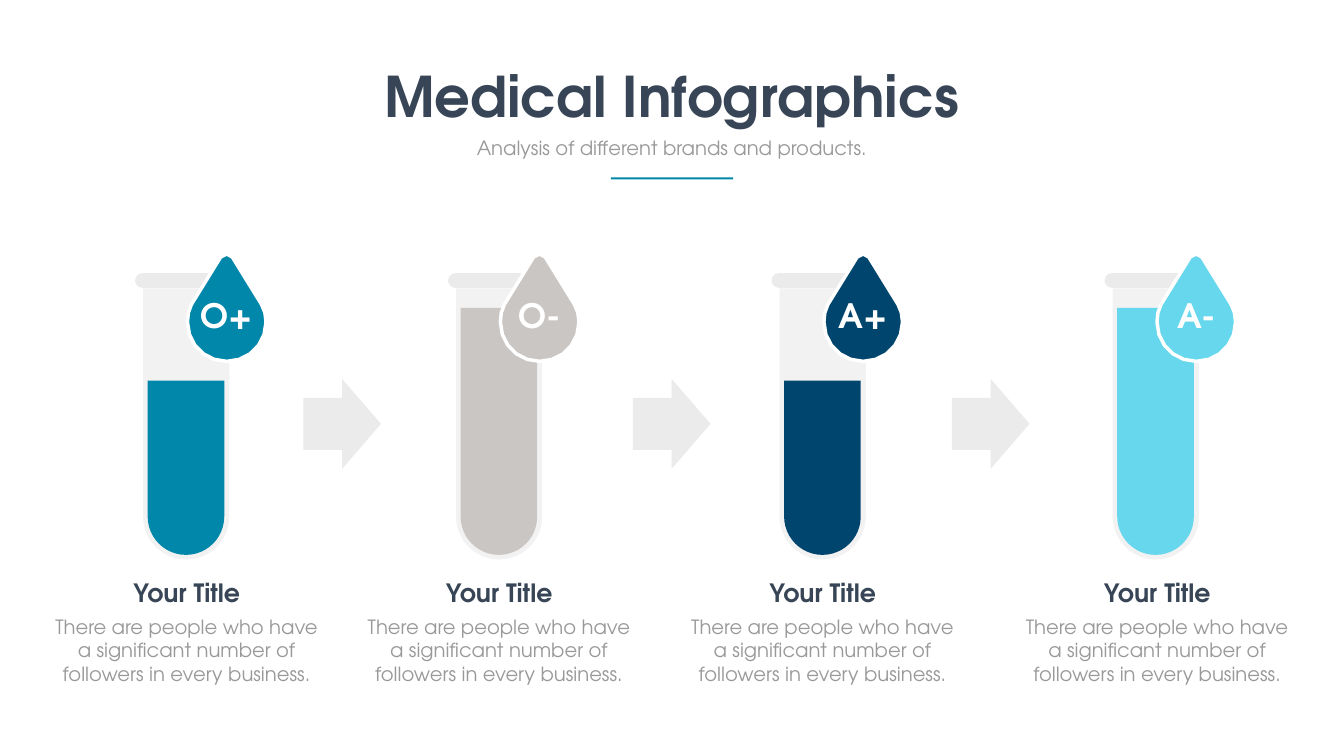
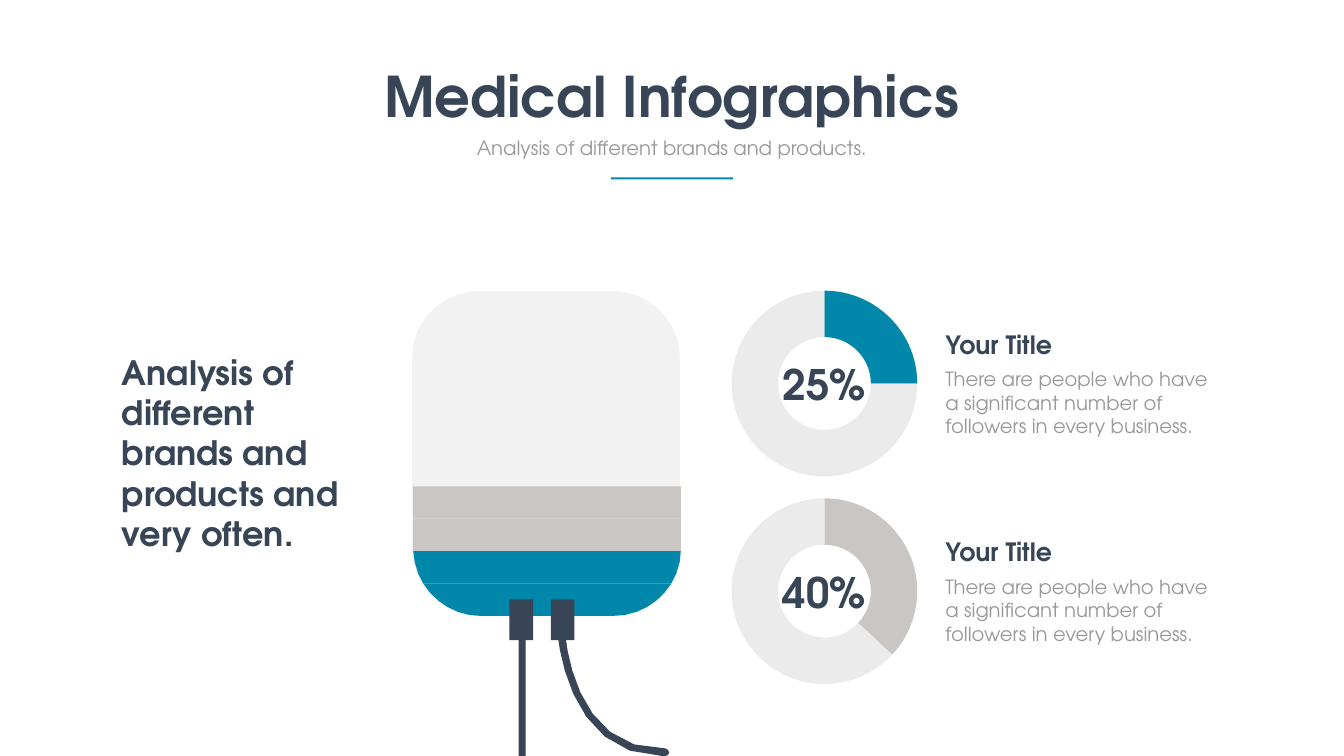
"""Build two medical infographic slides: blood test tubes and a blood bag with doughnuts."""
from dataclasses import dataclass
from math import ceil, dist

from lxml import etree
from pptx import Presentation
from pptx.chart.data import CategoryChartData
from pptx.dml.color import RGBColor
from pptx.enum.chart import XL_CHART_TYPE
from pptx.enum.shapes import MSO_SHAPE
from pptx.enum.text import MSO_ANCHOR, MSO_AUTO_SIZE, PP_ALIGN
from pptx.oxml.ns import qn
from pptx.slide import Slide
from pptx.util import Inches, Pt

RECT = MSO_SHAPE.RECTANGLE
ROUND_RECT = MSO_SHAPE.ROUNDED_RECTANGLE
ROUND_BOTTOM = MSO_SHAPE.ROUND_2_SAME_RECTANGLE
ARROW = MSO_SHAPE.RIGHT_ARROW
DOUGHNUT = XL_CHART_TYPE.DOUGHNUT
LEFT, CENTER = PP_ALIGN.LEFT, PP_ALIGN.CENTER
TOP = MSO_ANCHOR.TOP
FIT_TEXT = MSO_AUTO_SIZE.SHAPE_TO_FIT_TEXT

COLORS = {
    "white": "FFFFFF", "dark": "374556", "gray": "999999", "teal": "0087AA",
    "stone": "CAC6C4", "navy": "00456D", "sky": "66D7EC",
    "glass": "F2F2F2", "light": "EBEBEB",
}
FONT = "TeX Gyre Adventor"
HEADING = "Your Title"
BODY = "There are people who have a significant number of followers in every business."
CURVE_STEP, MAX_STEPS = 0.25, 8

DROP = [
    (1.47, 1.02), (0.89, 0.08), (0.84, 0, 0.72, 0, 0.66, 0.08),
    (0.08, 1.02), (0.02, 1.13, 0, 1.24, 0, 1.37),
    (0, 1.8, 0.34, 2.15, 0.78, 2.15), (1.21, 2.15, 1.56, 1.81, 1.56, 1.37),
    (1.56, 1.24, 1.53, 1.12, 1.47, 1.02),
]
HOSE = [
    (13.14, 15), (11.21, 15, 11.06, 12.54, 11.06, 12.51),
    (11.06, 12.47, 11.09, 12.44, 11.13, 12.43), (11.18, 12.43, 11.21, 12.46, 11.21, 12.5),
    (11.22, 12.6, 11.35, 14.91, 13.2, 14.85), (13.24, 14.85, 13.27, 14.89, 13.28, 14.93),
    (13.28, 14.97, 13.24, 15, 13.2, 15),
]
BAG_BOTTOM = [
    (13.32, 11.58), (8.4, 11.58), (8.64, 11.97, 9.07, 12.22, 9.53, 12.22),
    (12.18, 12.22), (12.65, 12.22, 13.08, 11.97, 13.32, 11.58),
]
BAG_SHOULDER = [
    (8.4, 11.58), (13.32, 11.58), (13.44, 11.38, 13.51, 11.16, 13.51, 10.93),
    (8.2, 10.93), (8.21, 11.16, 8.28, 11.38, 8.4, 11.58),
]


@dataclass
class Tube:
    """A test tube with its blood group, liquid and caption position."""
    left: float
    caption_left: float
    group: str
    color: str
    liquid_top: float


@dataclass
class Ring:
    """A doughnut with its centre label."""
    top: float
    share: int
    label: str
    color: str


TUBES = [
    Tube(2.84, 0.84, "O+", "teal", 7.55),
    Tube(9.05, 7.04, "O-", "stone", 6.11),
    Tube(15.47, 13.46, "A+", "navy", 7.55),
    Tube(22.08, 20.1, "A-", "sky", 6.11),
]
ARROW_LEFTS = [6.02, 12.56, 18.89]
RINGS = [Ring(5.63, 25, "25%", "teal"), Ring(9.75, 37, "40%", "stone")]


def rgb(name: str) -> RGBColor:
    """Return the named colour."""
    return RGBColor.from_string(COLORS[name])


def paint(sp, color: str) -> None:
    """Fill a shape and remove its line and shadow."""
    sp.shadow.inherit = False
    sp.fill.solid()
    sp.fill.fore_color.rgb = rgb(color)
    sp.line.fill.background()


def add_preset(s: Slide, kind, box: tuple, color: str, adjustments: tuple = ()) -> None:
    """Draw a filled preset shape."""
    sp = s.shapes.add_shape(kind, *map(Inches, box))
    for i, value in enumerate(adjustments):
        sp.adjustments[i] = value
    paint(sp, color)


def curve_points(start: tuple, segment: tuple) -> list:
    """Return the points of a line (2 numbers) or cubic curve (6 numbers) after start."""
    if len(segment) == 2:
        return [segment]
    a, b, c, d = start, segment[:2], segment[2:4], segment[4:]
    count = min(MAX_STEPS, max(2, ceil(dist(a, d) / CURVE_STEP)))
    steps = [i / count for i in range(1, count + 1)]
    return [
        tuple((1 - t) ** 3 * a[k] + 3 * (1 - t) ** 2 * t * b[k]
              + 3 * (1 - t) * t ** 2 * c[k] + t ** 3 * d[k] for k in (0, 1))
        for t in steps
    ]


def add_outline(s: Slide, outline: list, color: str, left: float = 0, top: float = 0):
    """Draw a closed filled outline shifted by left and top."""
    points = [outline[0]]
    for segment in outline[1:]:
        points += curve_points(points[-1], segment)
    corners = [(Inches(left + x), Inches(top + y)) for x, y in points]
    builder = s.shapes.build_freeform(*corners[0], scale=1.0)
    builder.add_line_segments(corners[1:], close=True)
    sp = builder.convert_to_shape()
    paint(sp, color)
    return sp


def write(tf, text: str, size: int, color: str, bold: bool, align) -> None:
    """Put one formatted paragraph in a text frame."""
    tf.text = text
    tf.auto_size = FIT_TEXT
    tf.vertical_anchor = TOP
    p = tf.paragraphs[0]
    p.alignment = align
    font = p.runs[0].font
    font.name, font.size, font.bold = FONT, Pt(size), bold
    font.color.rgb = rgb(color)


def add_text(s: Slide, box: tuple, text: str, size: int, color: str,
             bold: bool = True, align=CENTER) -> None:
    """Add a wrapping text box."""
    tf = s.shapes.add_textbox(*map(Inches, box)).text_frame
    tf.word_wrap = True
    write(tf, text, size, color, bold, align)


def add_caption(s: Slide, left: float, top: float, indent: float, width: float, align) -> None:
    """Add a heading with the body text below it."""
    add_text(s, (left + indent, top, 5.05, 0.71), HEADING, 36, "dark", align=align)
    add_text(s, (left, top + 0.75, width, 1.51), BODY, 28, "gray", False, align)


def add_slide(prs) -> Slide:
    """Add a slide with the shared title, subtitle and rule."""
    s = prs.slides.add_slide(prs.slide_layouts[5])
    title = s.shapes.title
    title.left, title.top, title.width, title.height = map(Inches, (7.46, 1.17, 11.74, 1.45))
    title.text_frame.word_wrap = False
    write(title.text_frame, "Medical Infographics", 80, "dark", True, CENTER)
    add_text(s, (8.55, 2.65, 9.56, 0.57), "Analysis of different brands and products.",
             28, "gray", False)
    add_preset(s, RECT, (12.12, 3.52, 2.43, 0.04), "teal")
    return s


def add_tube(s: Slide, tube: Tube) -> None:
    """Draw a test tube with its drop, blood group and caption."""
    x, y = tube.left, tube.liquid_top
    add_preset(s, ROUND_BOTTOM, (x, 5.72, 1.71, 5.38), "glass", (0, 0.5))
    add_preset(s, ROUND_BOTTOM, (x + 0.09, y, 1.52, 11.01 - y), tube.color, (0, 0.5))
    add_preset(s, ROUND_RECT, (x - 0.16, 5.42, 2.04, 0.29), "light", (0.5,))
    drop = add_outline(s, DROP, tube.color, x + 0.88, 5.02)
    drop.line.color.rgb = rgb("white")
    drop.line.width = Pt(5)
    add_text(s, (x + 1.03, 5.81, 1.26, 0.91), tube.group, 48, "white")
    add_caption(s, tube.caption_left, 11.4, 0.34, 5.72, CENTER)


def add_bag(s: Slide) -> None:
    """Draw the blood bag with its liquid, plugs and hoses."""
    add_preset(s, ROUND_RECT, (8.18, 5.78, 5.31, 6.44), "glass", (0.25,))
    add_outline(s, HOSE, "dark")
    add_outline(s, BAG_BOTTOM, "teal")
    add_outline(s, BAG_SHOULDER, "teal")
    for top in (10.29, 9.65):
        add_preset(s, RECT, (8.2, top, 5.31, 0.64), "stone")
    for left in (10.11, 10.93):
        add_preset(s, RECT, (left, 11.89, 0.47, 0.81), "dark")
    add_preset(s, RECT, (10.29, 12.43, 0.14, 2.57), "dark")


def add_ring(s: Slide, ring: Ring) -> None:
    """Add a doughnut chart with its label and caption."""
    data = CategoryChartData()
    data.categories = ["1", "2"]
    data.add_series("Series 1", (ring.share, 100 - ring.share))
    box = map(Inches, (14.32, ring.top, 4.08, 3.96))
    chart = s.shapes.add_chart(DOUGHNUT, *box, data).chart
    chart.has_title = chart.has_legend = False
    chart.font.name, chart.font.size = "Calibri", Pt(10)
    chart.font.color.rgb = rgb("gray")
    plot = chart.plots[0]
    plot.vary_by_categories = True
    for i, color in enumerate((ring.color, "light")):
        part = plot.series[0].points[i].format
        part.fill.solid()
        part.fill.fore_color.rgb = rgb(color)
        part.line.fill.background()
    doughnut = chart.element.find(".//" + qn("c:doughnutChart"))
    hole = doughnut.find(qn("c:holeSize"))
    if hole is None:
        hole = etree.SubElement(doughnut, qn("c:holeSize"))
    hole.set("val", "80")
    add_text(s, (14.77, ring.top + 1.44, 3.17, 1.11), ring.label, 60, "dark")
    add_caption(s, 18.66, ring.top + 0.85, 0, 5.67, LEFT)


def main() -> None:
    """Build and save the presentation."""
    prs = Presentation()
    prs.slide_width, prs.slide_height = Inches(26.67), Inches(15)

    s = add_slide(prs)
    for tube in TUBES:
        add_tube(s, tube)
    for left in ARROW_LEFTS:
        add_preset(s, ARROW, (left, 7.52, 1.54, 1.78), "light", (0.58, 0.5))

    s = add_slide(prs)
    add_bag(s)
    for ring in RINGS:
        add_ring(s, ring)
    add_text(s, (2.32, 6.93, 5.03, 4.14),
             "Analysis of different brands and products and very often.", 48, "dark", align=LEFT)

    prs.save("out.pptx")


if __name__ == "__main__":
    main()
